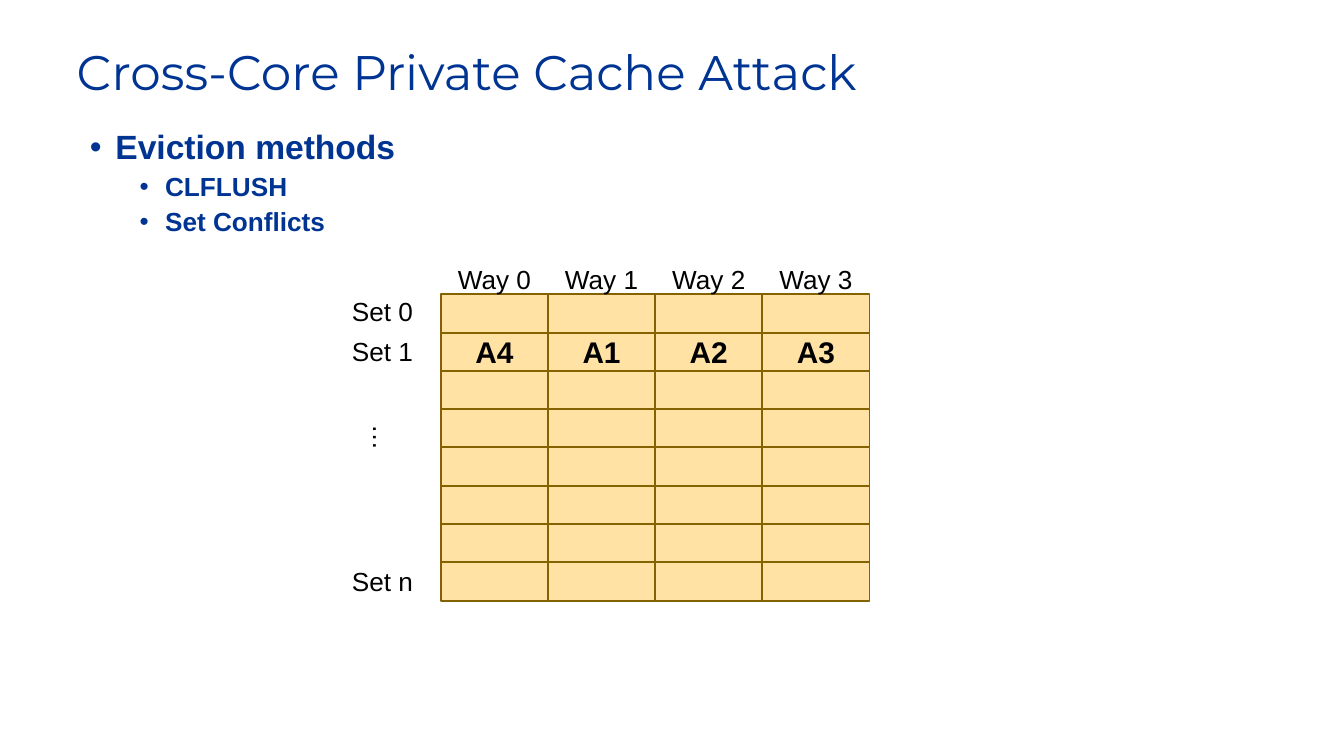
from lxml import etree
from pptx import Presentation
from pptx import util as u
from pptx.dml.color import RGBColor
from pptx.enum import shapes, text
from pptx.oxml.ns import qn

NAVY, BLACK, SAND, BROWN = "003493", "000000", "FFE2A4", "856200"


def color(value):
    """Turn a hex string into a colour."""
    return RGBColor.from_string(value)


def style(para, size, ink, bold=False, font="Arial"):
    """Set the font of a paragraph."""
    para.font.name = font
    para.font.size = u.Pt(size)
    para.font.bold = bold
    para.font.color.rgb = color(ink)


def add_box(page, left, top, width, height):
    """Add a wrapping text box and return it."""
    box = page.shapes.add_textbox(*map(u.Inches, (left, top, width, height)))
    box.text_frame.word_wrap = True
    return box


def add_title(page, left, top, width, height, wording):
    """Place and format the title placeholder."""
    title = page.shapes.title
    title.left, title.top = u.Inches(left), u.Inches(top)
    title.width, title.height = u.Inches(width), u.Inches(height)
    frame = title.text_frame
    frame.text = wording
    frame.vertical_anchor = text.MSO_ANCHOR.MIDDLE
    frame.margin_bottom = u.Inches(0.14)
    para = frame.paragraphs[0]
    para.alignment = text.PP_ALIGN.LEFT
    para.line_spacing = 0.9
    style(para, 26, NAVY, font="Montserrat")


def add_bullets(page, left, top, width, height, items):
    """Write bulleted (level, wording) items in a text box."""
    frame = add_box(page, left, top, width, height).text_frame
    for index, (level, wording) in enumerate(items):
        para = frame.add_paragraph() if index else frame.paragraphs[0]
        para.text = wording
        para.level = level
        para.line_spacing = 0.9
        para.space_before = u.Pt(3.8 if index else 0)
        props = para._p.get_or_add_pPr()
        props.set("marL", str(u.Inches(0.56 if level else 0.19)))
        props.set("indent", str(u.Inches(-0.19)))
        etree.SubElement(props, qn("a:buFont"), typeface="Arial")
        etree.SubElement(props, qn("a:buChar"), char="•")
        style(para, 14 if level else 18, NAVY, bold=True)


def add_label(page, left, top, width, wording, align=text.PP_ALIGN.LEFT):
    """Add a label for a row or column and return its box."""
    box = add_box(page, left, top, width, 0.34)
    box.text_frame.auto_size = text.MSO_AUTO_SIZE.SHAPE_TO_FIT_TEXT
    para = box.text_frame.paragraphs[0]
    para.text = wording
    para.alignment = align
    style(para, 14, BLACK)
    return box


def add_cell(page, left, top, width, height, wording):
    """Draw one cache line, with its address if it holds one."""
    cell = page.shapes.add_shape(
        shapes.MSO_SHAPE.RECTANGLE, *map(u.Inches, (left, top, width, height)))
    cell.shadow.inherit = False
    cell.fill.solid()
    cell.fill.fore_color.rgb = color(SAND)
    cell.line.color.rgb = color(BROWN)
    cell.line.width = u.Pt(1)
    if wording:
        cell.text_frame.vertical_anchor = text.MSO_ANCHOR.MIDDLE
        para = cell.text_frame.paragraphs[0]
        para.text = wording
        para.alignment = text.PP_ALIGN.CENTER
        style(para, 16, BLACK, bold=True)


def add_cache(page, left, top, width, height, ways, sets, lines):
    """Draw the cache as a grid of sets and ways with labels around it."""
    cell_width, cell_height = width / ways, height / sets
    for row in range(sets):
        for way in range(ways):
            add_cell(page, left + way * cell_width, top + row * cell_height,
                     cell_width, cell_height, lines.get((row, way)))
    for wording, offset in (("Set 0", -0.04), ("Set 1", 0.26), ("Set n", 1.97)):
        add_label(page, left - 0.76, top + offset, 0.76, wording)
    add_label(page, left - 0.81, top + 1.08, 0.76, "…").rotation = 90
    for way in range(ways):
        add_label(page, left + way * cell_width, top - 0.28, cell_width,
                  f"Way {way}", text.PP_ALIGN.CENTER)


def main():
    """Build the deck and save it."""
    deck = Presentation()
    deck.slide_width = u.Inches(10)
    deck.slide_height = deck.slide_width * 9 // 16
    page = deck.slides.add_slide(deck.slide_layouts[5])
    add_title(page, 0.47, 0.31, 8.62, 0.59, "Cross-Core Private Cache Attack")
    add_bullets(page, 0.57, 0.92, 9.12, 0.99, [
        (0, "Eviction methods"), (1, "CLFLUSH"), (1, "Set Conflicts")])
    lines = {(1, way): name for way, name in enumerate(("A4", "A1", "A2", "A3"))}
    add_cache(page, 3.28, 2.19, 3.19, 2.28, 4, 8, lines)
    deck.save("out.pptx")


if __name__ == "__main__":
    main()
